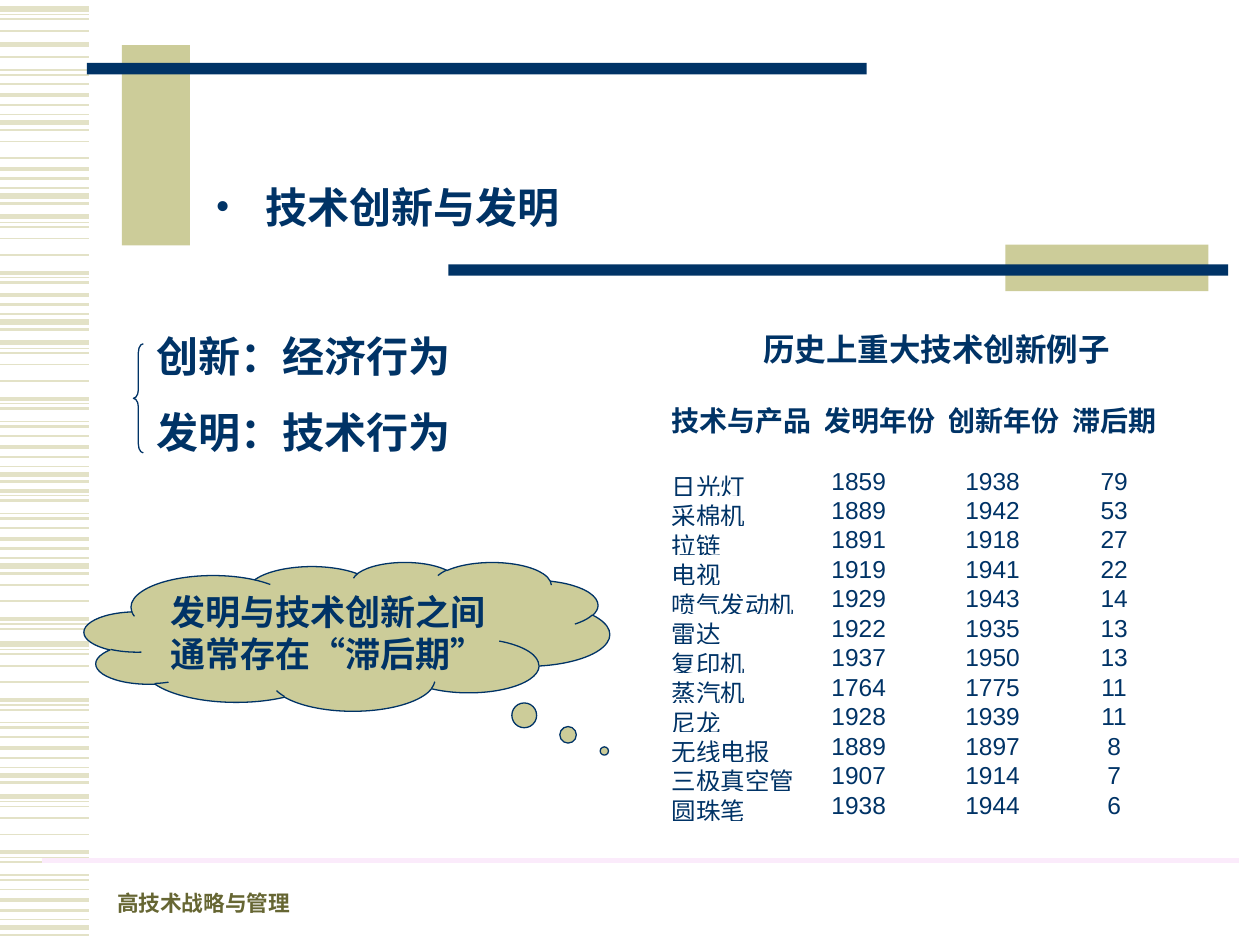
from typing import NamedTuple

from lxml.etree import SubElement
from pptx import Presentation
from pptx.dml.color import RGBColor
from pptx.enum.lang import MSO_LANGUAGE_ID
from pptx.enum.shapes import MSO_CONNECTOR, MSO_SHAPE
from pptx.enum.text import MSO_ANCHOR, PP_ALIGN
from pptx.oxml.ns import qn
from pptx.util import Cm, Pt

NAVY, KHAKI, PALE_KHAKI = "003366", "CCCC99", "E3E2C7"
OLIVE, PINK = "666633", "FBEBFB"
SERIF, SANS = "Times New Roman", "Arial"


class Box(NamedTuple):
    left: float
    top: float
    width: float
    height: float


class Stripe(NamedTuple):
    offset: float
    weight: float


class StripeRun(NamedTuple):
    """Part of the stripe pattern, with the pattern's origin at top."""
    top: float
    first: int = 0
    end: int = 16


class Column(NamedTuple):
    width: float
    indent: float = 0
    align: PP_ALIGN = PP_ALIGN.LEFT


class Innovation(NamedTuple):
    product: str
    invented: int
    innovated: int

    def cells(self) -> list[str]:
        lag = self.innovated - self.invented
        return [self.product, str(self.invented), str(self.innovated), str(lag)]


PATTERN = [
    Stripe(0, 3), Stripe(0.11, 0.75), Stripe(0.21, 1), Stripe(0.44, 1),
    Stripe(0.77, 1), Stripe(1.13, 2.25), Stripe(1.23, 0.75), Stripe(1.33, 1.5),
    Stripe(1.59, 0.75), Stripe(1.69, 1.5), Stripe(1.88, 1), Stripe(2.1, 2.25),
    Stripe(2.3, 1.5), Stripe(2.49, 0.75), Stripe(2.65, 3), Stripe(2.8, 1.5),
]
STRIPE_RUNS = [
    StripeRun(0.18, 0, 4), StripeRun(0.89, 0, 1), StripeRun(-0.18, 7),
    StripeRun(1.3, 11), StripeRun(2.41, 3, 5), StripeRun(4.37, 0, 8),
    StripeRun(3.84, 11), StripeRun(6.91), StripeRun(8.76, 5),
    StripeRun(11.35, 3, 8), StripeRun(12.98), StripeRun(16.05),
]
BARS = [
    (Box(2.46, 0.91, 1.37, 4.04), KHAKI),
    (Box(1.75, 1.27, 15.72, 0.23), NAVY),
    (Box(20.27, 4.93, 4.09, 0.94), KHAKI),
    (Box(9.04, 5.33, 15.72, 0.23), NAVY),
]
COLUMNS = [Column(3.07), Column(2.5, 0.15), Column(2.46, 0.35),
           Column(1.78, align=PP_ALIGN.CENTER)]
HEADERS = ["技术与产品", "发明年份", "创新年份", "滞后期"]
INNOVATIONS = [
    Innovation("日光灯", 1859, 1938), Innovation("采棉机", 1889, 1942),
    Innovation("拉链", 1891, 1918), Innovation("电视", 1919, 1941),
    Innovation("喷气发动机", 1929, 1943), Innovation("雷达", 1922, 1935),
    Innovation("复印机", 1937, 1950), Innovation("蒸汽机", 1764, 1775),
    Innovation("尼龙", 1928, 1939), Innovation("无线电报", 1889, 1897),
    Innovation("三极真空管", 1907, 1914), Innovation("圆珠笔", 1938, 1944),
]
HEADER_HEIGHT, ROW_HEIGHT = 1.39, 0.59


def rgb(color: str) -> RGBColor:
    return RGBColor.from_string(color)


def emu(box: Box) -> list[Cm]:
    return [Cm(v) for v in box]


def write(tf, text: str, *, size: float, color: str = NAVY, font: str = SERIF,
          bold: bool = True, align=PP_ALIGN.LEFT, anchor=MSO_ANCHOR.TOP,
          before: float = 0, wrap: bool = True) -> None:
    """Fill a text frame, one paragraph per line of text."""
    tf.word_wrap = wrap
    tf.vertical_anchor = anchor
    for i, line in enumerate(text.split("\n")):
        p = tf.add_paragraph() if i else tf.paragraphs[0]
        p.alignment = align
        p.space_before = Pt(before)
        r = p.add_run()
        r.text = line
        r.font.name, r.font.size, r.font.bold = font, Pt(size), bold
        r.font.color.rgb = rgb(color)
        r.font.language_id = MSO_LANGUAGE_ID.SIMPLIFIED_CHINESE


def add_text(s, box: Box, text: str, **fmt) -> None:
    write(s.shapes.add_textbox(*emu(box)).text_frame, text, **fmt)


def add_line(s, left: float, right: float, y: float, color: str, weight: float) -> None:
    line = s.shapes.add_connector(MSO_CONNECTOR.STRAIGHT, Cm(left), Cm(y), Cm(right), Cm(y))
    line.line.color.rgb = rgb(color)
    line.line.width = Pt(weight)
    SubElement(line._element.spPr, qn("a:effectLst"))


def add_shape(s, kind, box: Box, fill: str | None = None, line: str | None = None,
              adjustments: tuple[float, ...] = ()):
    sp = s.shapes.add_shape(kind, *emu(box))
    sp.shadow.inherit = False
    for i, value in enumerate(adjustments):
        sp.adjustments[i] = value
    if fill:
        sp.fill.solid()
        sp.fill.fore_color.rgb = rgb(fill)
    else:
        sp.fill.background()
    if line:
        sp.line.color.rgb = rgb(line)
        sp.line.width = Pt(0.75)
    else:
        sp.line.fill.background()
    return sp


def add_title(s, box: Box, text: str, hang: float) -> None:
    """Place the title with a hanging bullet."""
    title = s.shapes.title
    title.left, title.top, title.width, title.height = emu(box)
    write(title.text_frame, text, size=24, before=15)
    pPr = title.text_frame.paragraphs[0]._p.get_or_add_pPr()
    pPr.set("marL", str(Cm(hang)))
    pPr.set("indent", str(-Cm(hang)))
    SubElement(pPr, qn("a:buFont")).set("typeface", SERIF)
    SubElement(pPr, qn("a:buChar")).set("char", "•")


def add_innovation_table(s, left: float, top: float) -> None:
    rows = [HEADERS] + [item.cells() for item in INNOVATIONS]
    box = Box(left, top, sum(c.width for c in COLUMNS),
              HEADER_HEIGHT + ROW_HEIGHT * len(INNOVATIONS))
    table = s.shapes.add_table(len(rows), len(COLUMNS), *emu(box)).table
    table.first_row = table.horz_banding = False
    for i, column in enumerate(COLUMNS):
        table.columns[i].width = Cm(column.width)
    for i, values in enumerate(rows):
        header = i == 0
        table.rows[i].height = Cm(HEADER_HEIGHT if header else ROW_HEIGHT)
        for j, (column, value) in enumerate(zip(COLUMNS, values)):
            cell = table.cell(i, j)
            cell.fill.background()
            cell.margin_top = cell.margin_bottom = cell.margin_right = 0
            cell.margin_left = Cm(0 if header else column.indent)
            write(cell.text_frame, value, size=16 if header else 14,
                  font=SANS, bold=header, align=column.align)


def main() -> None:
    prs = Presentation()
    prs.slide_width, prs.slide_height = Cm(25.4), Cm(19.05)
    s = prs.slides.add_slide(prs.slide_layouts[5])

    for run in STRIPE_RUNS:
        for stripe in PATTERN[run.first:run.end]:
            add_line(s, 0, 1.8, run.top + stripe.offset, PALE_KHAKI, stripe.weight)
    for box, color in BARS:
        add_shape(s, MSO_SHAPE.RECTANGLE, box, color)
    add_line(s, 0.84, 24.97, 17.35, PINK, 3)
    add_text(s, Box(2.11, 17.73, 6.6, 0.86), "高技术战略与管理", size=12.4,
             color=OLIVE, anchor=MSO_ANCHOR.BOTTOM)

    add_title(s, Box(4.09, 3.53, 8.81, 1.27), "技术创新与发明", hang=1)
    add_text(s, Box(2.9, 6.53, 8.41, 2.82), "创新：经济行为\n发明：技术行为",
             size=24, before=15)
    add_shape(s, MSO_SHAPE.LEFT_BRACE, Box(2.69, 6.93, 0.2, 2.2), line=NAVY,
              adjustments=(0.88, 0.5))
    cloud = add_shape(s, MSO_SHAPE.CLOUD_CALLOUT, Box(1.7, 11.33, 10.59, 3),
                      KHAKI, NAVY, (0.49, 0.77))
    write(cloud.text_frame, "发明与技术创新之间通常存在“滞后期”", size=20,
          align=PP_ALIGN.CENTER)

    add_text(s, Box(15.14, 6.53, 7.49, 1.02), "历史上重大技术创新例子", size=18,
             font=SANS, wrap=False)
    add_innovation_table(s, 13.54, 8.04)
    prs.save("out.pptx")


if __name__ == "__main__":
    main()
